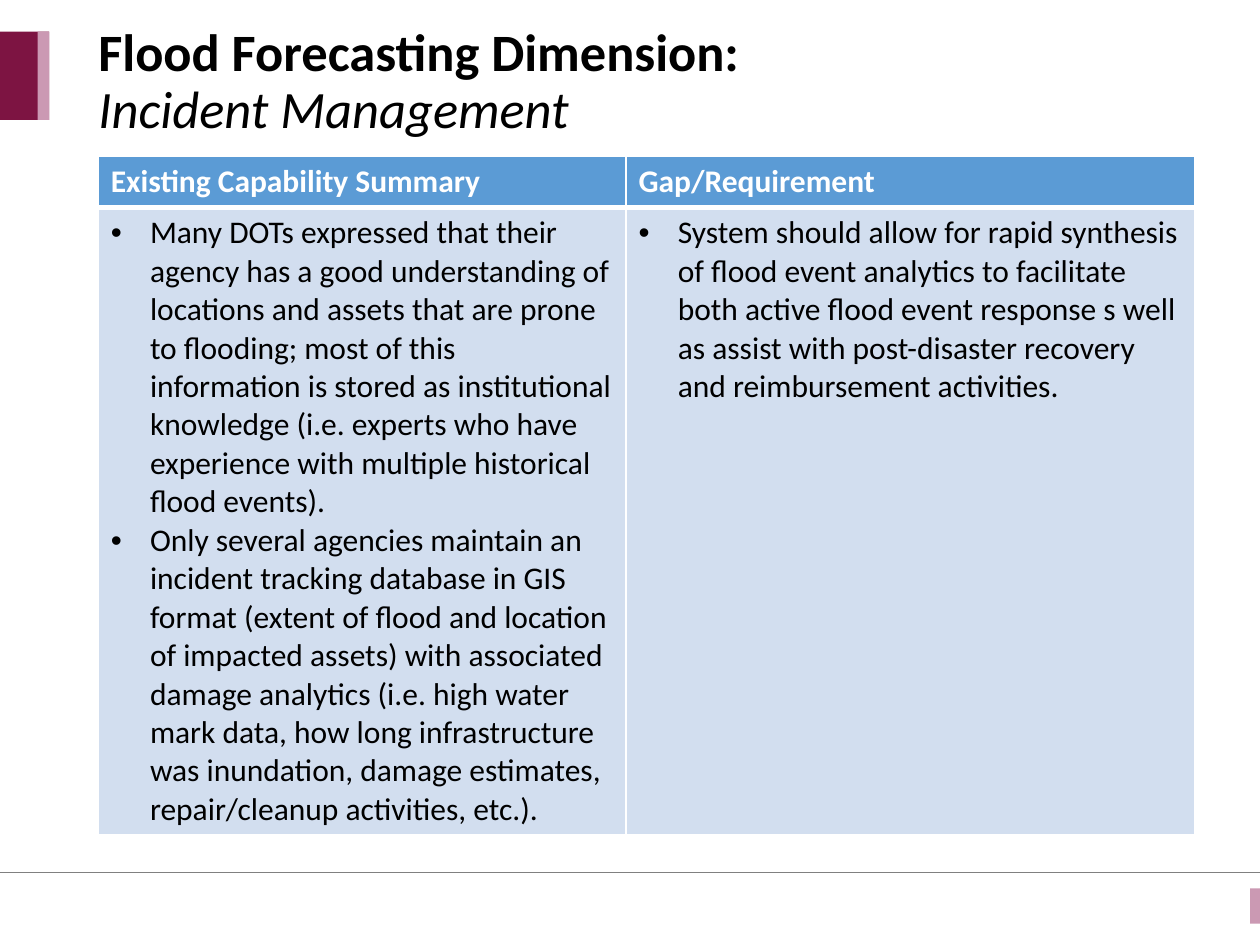
from lxml.etree import SubElement
from pptx import Presentation
from pptx.dml.color import RGBColor
from pptx.enum.shapes import MSO_CONNECTOR, MSO_SHAPE
from pptx.enum.text import MSO_ANCHOR, PP_ALIGN
from pptx.oxml.ns import qn
from pptx.util import Cm, Pt


def color(value):
    """Turn a hex string into a colour."""
    return RGBColor.from_string(value)


class SlideBuilder:
    """Hold the style and the current slide."""

    font = "Calibri"
    black, white, gray = "000000", "FFFFFF", "808080"
    maroon, pink = "7D1442", "CB99B3"
    header_fill, body_fill = "5B9BD5", "D2DEEF"

    def __init__(self, deck):
        """Start a title-only slide."""
        self.page = deck.slides.add_slide(deck.slide_layouts[5])

    def add_span(self, para, text, size, hue, bold=False, italic=False):
        """Add one formatted run."""
        span = para.add_run()
        span.text = text
        span.font.name = self.font
        span.font.size = Pt(size)
        span.font.bold = bold
        span.font.italic = italic
        span.font.color.rgb = color(hue)

    def add_title(self, heading, subheading, left, top, width, height):
        """Fill the title placeholder with two lines."""
        box = self.page.shapes.title
        box.left, box.top, box.width, box.height = map(Cm, (left, top, width, height))
        frame = box.text_frame
        frame.word_wrap = True
        frame.vertical_anchor = MSO_ANCHOR.MIDDLE
        para = frame.paragraphs[0]
        para.alignment = PP_ALIGN.LEFT
        para.line_spacing = 0.9
        self.add_span(para, heading, 30, self.black, bold=True)
        para.add_line_break()
        self.add_span(para, subheading, 30, self.black, italic=True)

    def add_block(self, fill, left, top, width, height):
        """Draw a plain rectangle."""
        block = self.page.shapes.add_shape(
            MSO_SHAPE.RECTANGLE, *map(Cm, (left, top, width, height)))
        block.shadow.inherit = False
        block.fill.solid()
        block.fill.fore_color.rgb = color(fill)
        block.line.fill.background()

    def add_rule(self, left, right, top):
        """Draw a thin horizontal line."""
        rule = self.page.shapes.add_connector(
            MSO_CONNECTOR.STRAIGHT, *map(Cm, (left, top, right, top)))
        rule.line.color.rgb = color(self.gray)
        rule.line.width = Pt(0.5)
        SubElement(rule._element.spPr, qn("a:effectLst"))

    def style_cell(self, cell, fill, bottom):
        """Give a cell white borders and a fill."""
        properties = cell._tc.get_or_add_tcPr()
        for side, width in (("L", 1), ("R", 1), ("T", 1), ("B", bottom)):
            border = SubElement(properties, qn(f"a:ln{side}"), w=str(Pt(width)))
            paint = SubElement(border, qn("a:solidFill"))
            SubElement(paint, qn("a:srgbClr"), val=self.white)
        cell.fill.solid()
        cell.fill.fore_color.rgb = color(fill)

    def add_bullet(self, para):
        """Give a paragraph a hanging round bullet."""
        properties = para._p.get_or_add_pPr()
        properties.set("marL", str(Cm(0.79)))
        properties.set("indent", str(Cm(-0.79)))
        SubElement(properties, qn("a:buFont"), typeface="Arial")
        SubElement(properties, qn("a:buChar"), char="•")

    def add_table(self, columns, left, top, widths, heights):
        """Add a table of headed bullet lists."""
        table = self.page.shapes.add_table(
            2, len(columns), Cm(left), Cm(top),
            Cm(sum(widths)), Cm(sum(heights))).table
        for row, height in zip(table.rows, heights):
            row.height = Cm(height)
        for index, (heading, items) in enumerate(columns):
            table.columns[index].width = Cm(widths[index])
            header, body = table.cell(0, index), table.cell(1, index)
            self.style_cell(header, self.header_fill, 3)
            self.style_cell(body, self.body_fill, 1)
            self.add_span(header.text_frame.paragraphs[0], heading, 18, self.white, bold=True)
            frame = body.text_frame
            for number, item in enumerate(items):
                para = frame.add_paragraph() if number else frame.paragraphs[0]
                self.add_bullet(para)
                self.add_span(para, item, 18, self.black)


def main():
    """Build and save the slide."""
    deck = Presentation()
    deck.slide_width, deck.slide_height = Cm(25.4), Cm(19.05)
    slide = SlideBuilder(deck)
    slide.add_rule(0, 25.4, 17.58)
    slide.add_block(slide.pink, 25.2, 17.91, 0.2, 0.71)
    slide.add_block(slide.maroon, 0, 0.64, 0.99, 1.78)
    slide.add_block(slide.pink, 0.76, 0.64, 0.23, 1.78)
    slide.add_title("Flood Forecasting Dimension:", "Incident Management",
                    1.73, 0.79, 22.66, 1.78)
    columns = [
        ("Existing Capability Summary", [
            "Many DOTs expressed that their agency has a good understanding of "
            "locations and assets that are prone to flooding; most of this "
            "information is stored as institutional knowledge (i.e. experts who "
            "have experience with multiple historical flood events).",
            "Only several agencies maintain an incident tracking database in GIS "
            "format (extent of flood and location of impacted assets) with "
            "associated damage analytics (i.e. high water mark data, how long "
            "infrastructure was inundation, damage estimates, repair/cleanup "
            "activities, etc.).",
        ]),
        ("Gap/Requirement", [
            "System should allow for rapid synthesis of flood event analytics to "
            "facilitate both active flood event response s well as assist with "
            "post-disaster recovery and reimbursement activities.",
        ]),
    ]
    slide.add_table(columns, 1.98, 3.15, (10.64, 11.47), (1.02, 12.65))
    deck.save("out.pptx")


if __name__ == "__main__":
    main()
